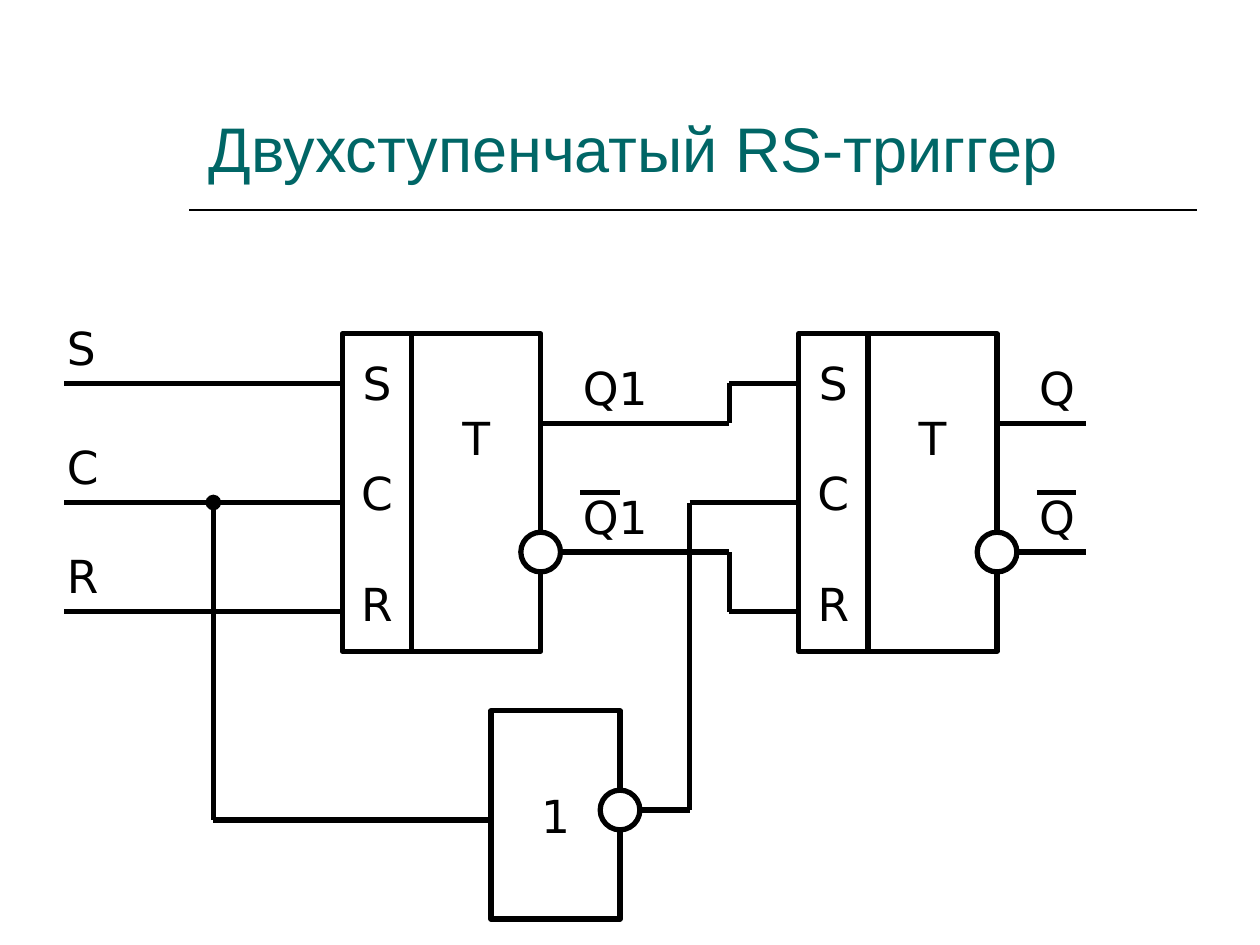
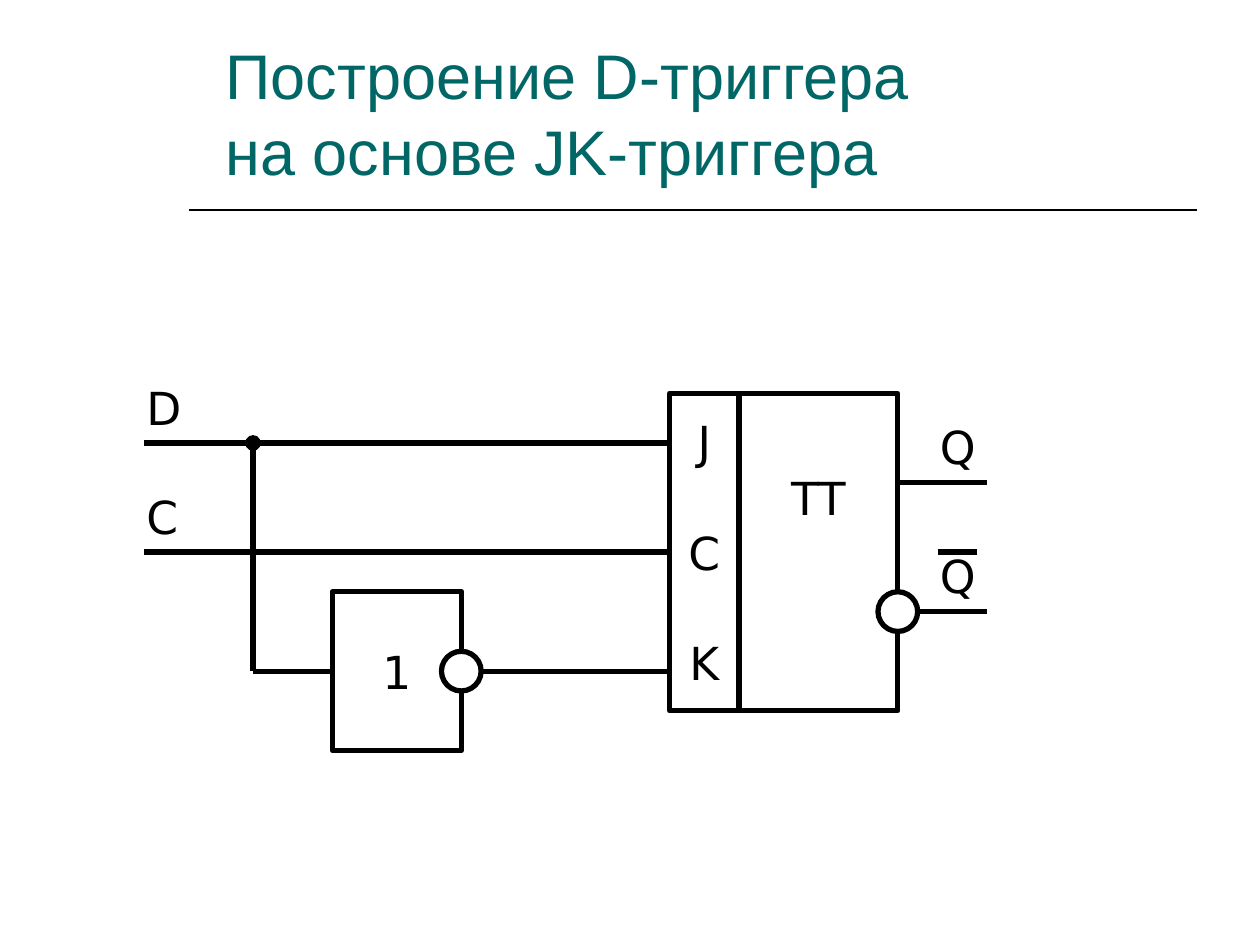
from dataclasses import dataclass
from itertools import pairwise

from lxml.etree import SubElement
from pptx import Presentation
from pptx.dml.color import RGBColor
from pptx.enum.shapes import MSO_CONNECTOR as Connector
from pptx.enum.shapes import MSO_SHAPE as Preset
from pptx.enum.text import MSO_ANCHOR as Anchor
from pptx.enum.text import PP_ALIGN as Align
from pptx.oxml.ns import qn
from pptx.shapes.autoshape import Shape
from pptx.slide import Slide
from pptx.util import Inches, Pt

BLACK = RGBColor(0x00, 0x00, 0x00)
WHITE = RGBColor(0xFF, 0xFF, 0xFF)
TEAL = RGBColor(0x00, 0x66, 0x66)
TITLE_FONT = "Arial"
DIAGRAM_FONT = "DejaVu Sans"
TITLE_SIZE = 36
DIAGRAM_SIZE = 26

SLIDE_WIDTH = Inches(10)
SLIDE_HEIGHT = Inches(7.5)
GRID_COLUMNS = 127
CELL = SLIDE_WIDTH / GRID_COLUMNS
COLUMN_OFFSET = 0.5
ROW_OFFSET = 0.65

PIN_WIDTH = 7
TRIGGER_HEIGHT = 32
INVERTER_WIDTH = 13
OUTPUT_ROW = 9
INVERSE_ROW = 22
BUBBLE_RADIUS = 2
LABEL_RISE = 7
OVERBAR_WIDTH = 4
PIN_GAP = Pt(32)
BODY_LIFT = Inches(0.92)

Point = tuple[float, float]


@dataclass(frozen=True)
class Box:
    column: float
    row: float
    width: float
    height: float

    def lengths(self) -> tuple[int, int, int, int]:
        return (across(self.column), down(self.row),
                round(self.width * CELL), round(self.height * CELL))


@dataclass(frozen=True)
class Trigger:
    column: float
    row: float
    body_width: float
    name: str
    pins: tuple[str, ...]


@dataclass(frozen=True)
class Inverter:
    column: float
    row: float
    height: float
    output_row: float


@dataclass(frozen=True)
class Label:
    text: str
    column: float
    wire_row: float
    inverted: bool = False


@dataclass(frozen=True)
class Wire:
    points: tuple[Point, ...]
    dotted: bool = False


@dataclass(frozen=True)
class Circuit:
    title: str
    title_box: Box
    wires: tuple[Wire, ...]
    triggers: tuple[Trigger, ...]
    inverter: Inverter
    labels: tuple[Label, ...]


def across(column: float) -> int:
    return round((column + COLUMN_OFFSET) * CELL)


def down(row: float) -> int:
    return round((row + ROW_OFFSET) * CELL)


def add_line(slide: Slide, start: Point, end: Point,
             weight: float = 3, dotted: bool = False) -> None:
    line = slide.shapes.add_connector(
        Connector.STRAIGHT, across(start[0]), down(start[1]), across(end[0]), down(end[1]))
    line.line.color.rgb = BLACK
    line.line.width = Pt(weight)
    if dotted:
        SubElement(line.line._get_or_add_ln(), qn("a:tailEnd"), type="oval")
    SubElement(line._element.spPr, qn("a:effectLst"))


def add_wire(slide: Slide, wire: Wire) -> None:
    segments = list(pairwise(wire.points))
    for number, (start, end) in enumerate(segments, 1):
        add_line(slide, start, end, dotted=wire.dotted and number == len(segments))


def add_outline(slide: Slide, preset: Preset, box: Box) -> Shape:
    shape = slide.shapes.add_shape(preset, *box.lengths())
    shape.shadow.inherit = False
    shape.fill.solid()
    shape.fill.fore_color.rgb = WHITE
    shape.line.color.rgb = BLACK
    shape.line.width = Pt(3)
    return shape


def write(shape: Shape, lines: tuple[str, ...], align: Align = Align.LEFT,
          font: str = DIAGRAM_FONT, size: float = DIAGRAM_SIZE,
          color: RGBColor = BLACK) -> None:
    frame = shape.text_frame
    for number, line in enumerate(lines):
        paragraph = frame.add_paragraph() if number else frame.paragraphs[0]
        paragraph.text = line
        paragraph.alignment = align
        if number:
            paragraph.space_before = PIN_GAP
        paragraph.font.name = font
        paragraph.font.size = Pt(size)
        paragraph.font.color.rgb = color


def add_block(slide: Slide, box: Box, *lines: str) -> Shape:
    shape = add_outline(slide, Preset.RECTANGLE, box)
    shape.text_frame.word_wrap = False
    shape.text_frame.vertical_anchor = Anchor.MIDDLE
    write(shape, lines, Align.CENTER)
    return shape


def add_bubble(slide: Slide, column: float, row: float) -> None:
    side = 2 * BUBBLE_RADIUS
    add_outline(slide, Preset.OVAL,
                Box(column - BUBBLE_RADIUS, row - BUBBLE_RADIUS, side, side))


def add_trigger(slide: Slide, trigger: Trigger) -> None:
    body_column = trigger.column + PIN_WIDTH
    add_block(slide, Box(trigger.column, trigger.row, PIN_WIDTH, TRIGGER_HEIGHT),
              *trigger.pins)
    body = add_block(slide, Box(body_column, trigger.row, trigger.body_width, TRIGGER_HEIGHT),
                     trigger.name)
    body.text_frame.margin_bottom = BODY_LIFT
    add_bubble(slide, body_column + trigger.body_width, trigger.row + INVERSE_ROW)


def add_inverter(slide: Slide, inverter: Inverter) -> None:
    add_block(slide, Box(inverter.column, inverter.row, INVERTER_WIDTH, inverter.height), "1")
    add_bubble(slide, inverter.column + INVERTER_WIDTH, inverter.output_row)


def add_label(slide: Slide, label: Label) -> None:
    row = label.wire_row - LABEL_RISE
    box = Box(label.column - 1, row, 11, 7)
    text_box = slide.shapes.add_textbox(*box.lengths())
    text_box.text_frame.word_wrap = True
    write(text_box, (label.text,))
    if label.inverted:
        add_line(slide, (label.column, row + 1), (label.column + OVERBAR_WIDTH, row + 1))


def add_title(slide: Slide, title: str, box: Box) -> None:
    text_box = slide.shapes.add_textbox(*box.lengths())
    text_box.text_frame.word_wrap = True
    text_box.text_frame.vertical_anchor = Anchor.BOTTOM
    write(text_box, (title,), font=TITLE_FONT, size=TITLE_SIZE, color=TEAL)
    add_line(slide, (18.55, 20.55), (120.15, 20.55), weight=1)


def draw_circuit(slide: Slide, circuit: Circuit) -> None:
    add_title(slide, circuit.title, circuit.title_box)
    for wire in circuit.wires:
        add_wire(slide, wire)
    for trigger in circuit.triggers:
        add_trigger(slide, trigger)
    add_inverter(slide, circuit.inverter)
    for label in circuit.labels:
        add_label(slide, label)


def output_wires(start: float, end: float, trigger_row: float) -> tuple[Wire, ...]:
    return tuple(Wire(((start, trigger_row + row), (end, trigger_row + row)))
                 for row in (OUTPUT_ROW, INVERSE_ROW))


def input_wires(start: float, end: float, *rows: float) -> tuple[Wire, ...]:
    return tuple(Wire(((start, row), (end, row))) for row in rows)


TWO_STAGE_RS = Circuit(
    title="Двухступенчатый RS-триггер",
    title_box=Box(19.3, 4.3, 100, 14.35),
    wires=(
        *input_wires(6, 34, 38, 50, 61),
        Wire(((54, 42), (73, 42), (73, 38), (80, 38))),
        Wire(((54, 55), (73, 55), (73, 61), (80, 61))),
        Wire(((49, 82), (21, 82), (21, 50)), dotted=True),
        Wire(((62, 81), (69, 81), (69, 50), (80, 50))),
        *output_wires(100, 109, 33),
    ),
    triggers=(
        Trigger(34, 33, 13, "T", ("S", "C", "R")),
        Trigger(80, 33, 13, "T", ("S", "C", "R")),
    ),
    inverter=Inverter(49, 71, 21, 81),
    labels=(
        Label("S", 6, 38),
        Label("С", 6, 50),
        Label("R", 6, 61),
        Label("Q1", 58, 42),
        Label("Q1", 58, 55, inverted=True),
        Label("Q", 104, 42),
        Label("Q", 104, 55, inverted=True),
    ),
)

D_FROM_JK = Circuit(
    title="Построение D-триггера\vна основе JK-триггера",
    title_box=Box(21, 0.4, 99.6, 18.5),
    wires=(
        *input_wires(14, 67, 44, 55),
        Wire(((33, 67), (25, 67), (25, 44)), dotted=True),
        Wire(((46, 67), (67, 67))),
        *output_wires(90, 99, 39),
    ),
    triggers=(Trigger(67, 39, 16, "TT", ("J", "С", "K")),),
    inverter=Inverter(33, 59, 16, 67),
    labels=(
        Label("D", 14, 44),
        Label("С", 14, 55),
        Label("Q", 94, 48),
        Label("Q", 94, 61, inverted=True),
    ),
)


def main() -> None:
    presentation = Presentation()
    presentation.slide_width = SLIDE_WIDTH
    presentation.slide_height = SLIDE_HEIGHT
    blank_layout = presentation.slide_layouts[6]
    for circuit in (TWO_STAGE_RS, D_FROM_JK):
        draw_circuit(presentation.slides.add_slide(blank_layout), circuit)
    presentation.save("out.pptx")


if __name__ == "__main__":
    main()
